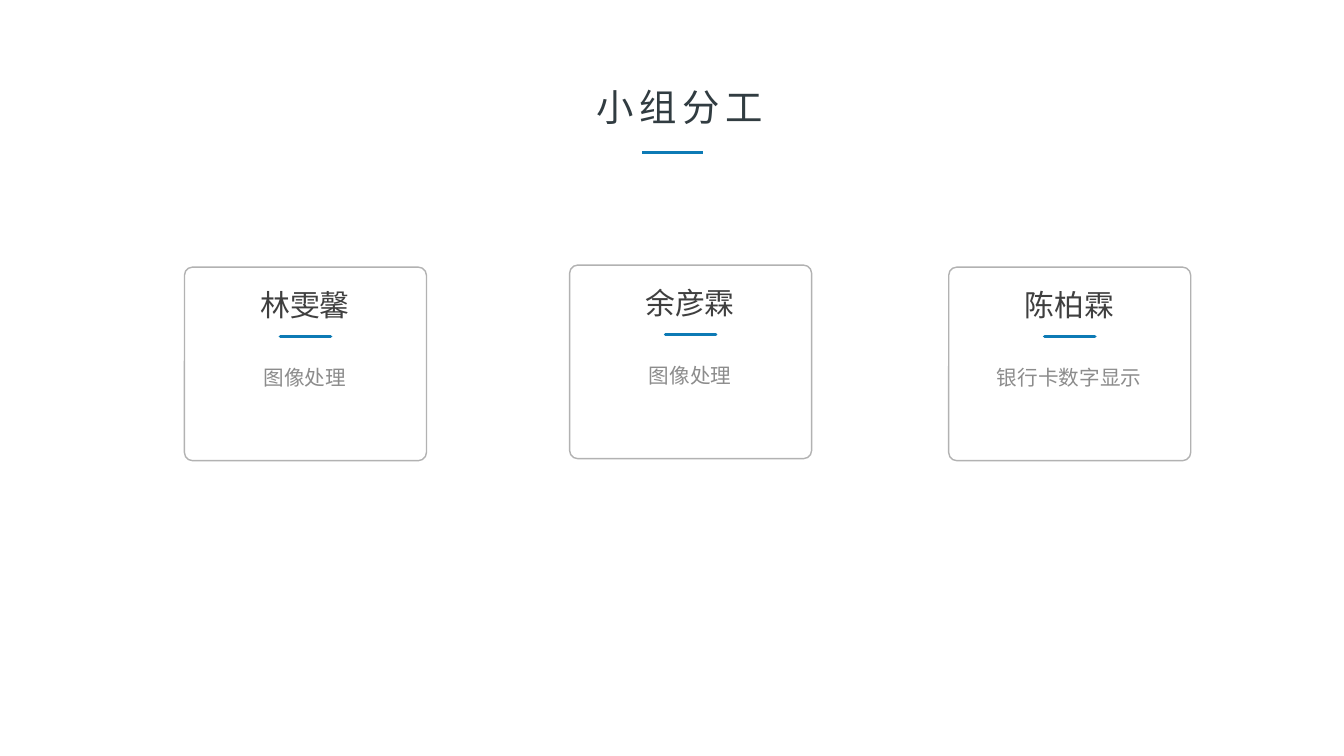
from lxml import etree
from pptx import Presentation, util as u
from pptx.dml.color import RGBColor
from pptx.enum import shapes, text
from pptx.oxml.ns import qn

COLORS = {
    "title": "313C41",
    "name": "3F3F3F",
    "task": "8C8C8C",
    "border": "B2B2B2",
    "accent": "0D7AB5",
}
FONT = "Arial"


class SlideBuilder:
    """Holds the style and the current slide."""

    def __init__(self, slide):
        self.slide = slide

    def color(self, name):
        return RGBColor.from_string(COLORS[name])

    def format_text(self, frame, content, size, color, spacing=1.0, before=0):
        frame.text = content
        paragraph = frame.paragraphs[0]
        paragraph.alignment = text.PP_ALIGN.CENTER
        paragraph.line_spacing = spacing
        paragraph.space_before = u.Pt(before)
        run = paragraph.runs[0]
        run.font.name = FONT
        run.font.size = u.Pt(size)
        run.font.color.rgb = self.color(color)
        return run

    def title(self, content, left, top, width, height):
        shape = self.slide.shapes.title
        shape.left, shape.top = u.Inches(left), u.Inches(top)
        shape.width, shape.height = u.Inches(width), u.Inches(height)
        frame = shape.text_frame
        frame.word_wrap = False
        frame.auto_size = text.MSO_AUTO_SIZE.SHAPE_TO_FIT_TEXT
        frame.vertical_anchor = text.MSO_ANCHOR.TOP
        run = self.format_text(frame, content, 26.7, "title", spacing=0.8)
        run.font._element.set("spc", "400")  # letter spacing of 4 pt

    def text_box(self, content, left, top, width, height, size, color,
                 anchor=text.MSO_ANCHOR.TOP, **paragraph_style):
        shape = self.slide.shapes.add_textbox(
            u.Inches(left), u.Inches(top), u.Inches(width), u.Inches(height))
        frame = shape.text_frame
        frame.word_wrap = True
        frame.vertical_anchor = anchor
        frame.margin_left = frame.margin_right = u.Inches(0.13)
        frame.margin_top = frame.margin_bottom = u.Inches(0.07)
        self.format_text(frame, content, size, color, **paragraph_style)

    def frame(self, left, top, width, height):
        shape = self.slide.shapes.add_shape(
            shapes.MSO_SHAPE.ROUNDED_RECTANGLE,
            u.Inches(left), u.Inches(top), u.Inches(width), u.Inches(height))
        shape.adjustments[0] = 0.042
        shape.shadow.inherit = False
        shape.fill.background()
        shape.line.color.rgb = self.color("border")
        shape.line.width = u.Pt(1)

    def rule(self, left, top, length, weight, rounded=False):
        line = self.slide.shapes.add_connector(
            shapes.MSO_CONNECTOR.STRAIGHT, u.Inches(left), u.Inches(top),
            u.Inches(left + length), u.Inches(top))
        line.line.color.rgb = self.color("accent")
        line.line.width = u.Pt(weight)
        if rounded:
            line.line._get_or_add_ln().set("cap", "rnd")
        etree.SubElement(line._element.spPr, qn("a:effectLst"))

    def card(self, name, task, left, top):
        self.frame(left, top, 2.4, 1.92)
        self.text_box(task, left + 0.12, top + 0.78, 2.15, 2.02, 14.7, "task",
                      spacing=1.5, before=3)
        self.text_box(name, left + 0.16, top + 0.13, 2.07, 0.49, 21.3, "name",
                      anchor=text.MSO_ANCHOR.MIDDLE)
        self.rule(left + 0.95, top + 0.69, 0.5, 2.25, rounded=True)


def main():
    presentation = Presentation()
    presentation.slide_width = u.Inches(13.33)
    presentation.slide_height = u.Inches(7.5)
    slide = presentation.slides.add_slide(presentation.slide_layouts[5])
    builder = SlideBuilder(slide)

    # Heading
    builder.title("小组分工", 5.78, 0.87, 1.92, 0.46)
    builder.rule(6.37, 1.51, 0.6, 2)

    # One card per team member
    members = [
        ("林雯馨", "图像处理", 1.83, 2.65),
        ("余彦霖", "图像处理", 5.65, 2.63),
        ("陈柏霖", "银行卡数字显示", 9.41, 2.65),
    ]
    for member in members:
        builder.card(*member)

    presentation.save("out.pptx")


if __name__ == "__main__":
    main()
